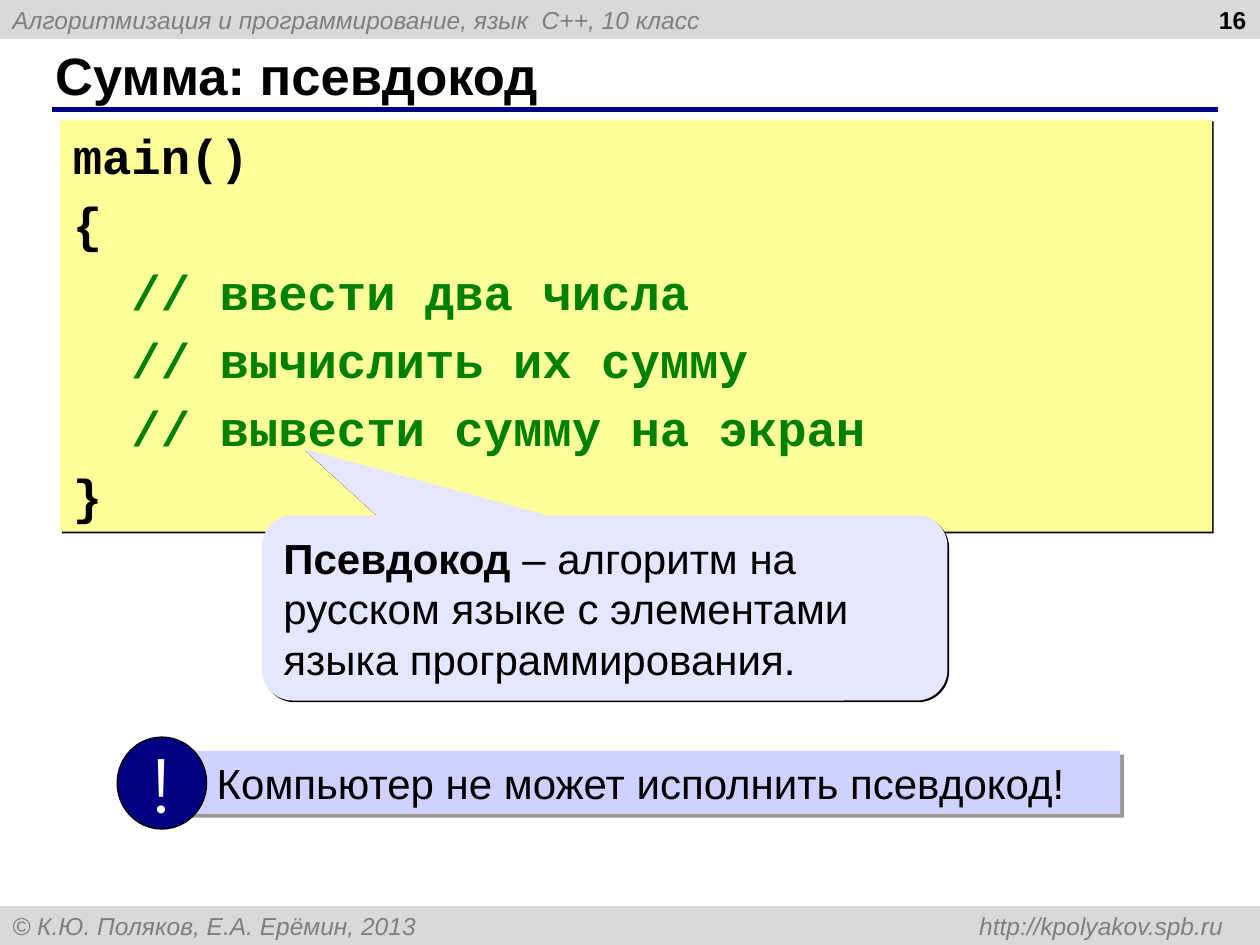
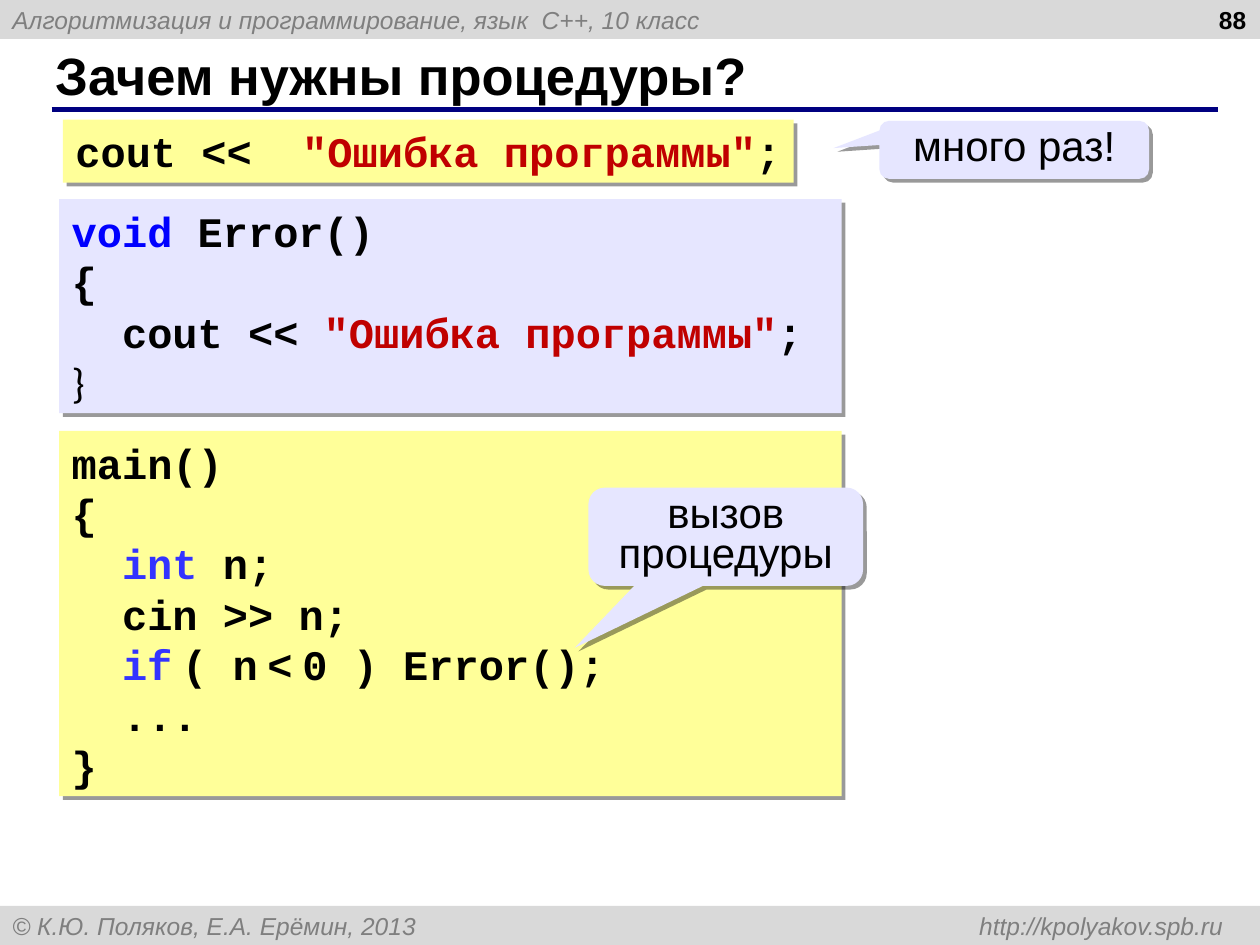
from lxml import etree
from pptx import Presentation
from pptx.dml.color import RGBColor
from pptx.enum.shapes import MSO_CONNECTOR, MSO_SHAPE
from pptx.enum.text import MSO_ANCHOR, PP_ALIGN
from pptx.oxml.ns import qn
from pptx.util import Inches, Pt

RECT, OVAL = MSO_SHAPE.RECTANGLE, MSO_SHAPE.OVAL
BUBBLE = MSO_SHAPE.ROUNDED_RECTANGULAR_CALLOUT
STRAIGHT = MSO_CONNECTOR.STRAIGHT
TOP, MID = MSO_ANCHOR.TOP, MSO_ANCHOR.MIDDLE
LEFT, CENTER, RIGHT = PP_ALIGN.LEFT, PP_ALIGN.CENTER, PP_ALIGN.RIGHT


class Theme:
    black, white, navy = "000000", "FFFFFF", "000080"
    band, grey = "D9D9D9", "7F7F7F"
    yellow, lilac, violet = "FFFF99", "E6E6FF", "D1D1FF"
    green, red, blue, indigo = "008000", "C00000", "0000FF", "3333FF"
    hard = {"alpha": 100, "dist": 1.4}
    soft = {"alpha": 40, "dist": 3}
    title = {"name": "Arial", "size": Pt(30), "bold": True, "color": black}
    small = {"name": "Arial", "size": Pt(14), "italic": True, "color": grey}
    page = {"name": "Arial", "size": Pt(14), "bold": True, "color": black}
    body = {"name": "Arial", "size": Pt(24), "color": black}
    code = {"name": "Courier New", "size": Pt(24), "bold": True, "color": black}
    large = {**code, "size": Pt(28)}
    thin = {"name": "Arial", "size": Pt(20)}
    mark = {"name": "Montserrat", "size": Pt(44), "color": white}


def style(font, form):
    for key, value in form.items():
        if key == "color":
            font.color.rgb = RGBColor.from_string(value)
        else:
            setattr(font, key, value)


def tint(text, color):
    return text, {"color": color}


def write(shape, lines, form, frame=None, para=None, gap=None):
    """Fill a shape; a line is a string or a list of strings and (text, format) pairs."""
    body = shape.text_frame
    for key, value in {"word_wrap": True, "vertical_anchor": MID, **(frame or {})}.items():
        setattr(body, key, value)
    for i, line in enumerate(lines):
        item = body.add_paragraph() if i else body.paragraphs[0]
        for key, value in {"alignment": LEFT, **(para or {})}.items():
            setattr(item, key, value)
        if i and gap:
            item.space_before = gap
        for part in [line] if isinstance(line, str) else line:
            text, extra = (part, {}) if isinstance(part, str) else part
            run = item.add_run()
            run.text = text
            style(run.font, {**form, **extra})


def cast(shape, alpha, dist):
    """Give a shape a black shadow to its lower right."""
    effects = shape._element.spPr.find(qn("a:effectLst"))
    shade = etree.SubElement(effects, qn("a:outerShdw"), dist=str(Pt(dist)),
                             dir="2700000", algn="ctr", rotWithShape="0")
    color = etree.SubElement(shade, qn("a:srgbClr"), val=Theme.black)
    etree.SubElement(color, qn("a:alpha"), val=str(alpha * 1000))


def draw(slide, kind, box, fill, line=None, shadow=None):
    shape = slide.shapes.add_shape(kind, *map(Inches, box))
    shape.shadow.inherit = False
    shape.fill.solid()
    shape.fill.fore_color.rgb = RGBColor.from_string(fill)
    if line:
        shape.line.color.rgb = RGBColor.from_string(line)
        shape.line.width = Pt(0.75)
    else:
        shape.line.fill.background()
    if shadow:
        cast(shape, **shadow)
    return shape


def label(slide, box, text, form, **para):
    shape = slide.shapes.add_textbox(*map(Inches, box))
    write(shape, [text], form, para=para)


def band(slide, box, text):
    """Draw a grey strip; text after a tab ends near its right edge."""
    shape = draw(slide, RECT, box, Theme.band)
    write(shape, [text], Theme.small)
    props = shape.text_frame.paragraphs[0]._p.get_or_add_pPr()
    tabs = etree.SubElement(props, qn("a:tabLst"))
    etree.SubElement(tabs, qn("a:tab"), pos=str(Inches(box[2] - 0.39)), algn="r")


def rule(slide, left, right, y):
    line = slide.shapes.add_connector(STRAIGHT, *map(Inches, (left, y, right, y)))
    line.line.color.rgb = RGBColor.from_string(Theme.navy)
    line.line.width = Pt(3)
    etree.SubElement(line._element.spPr, qn("a:effectLst"))


def panel(slide, box, lines, fill=Theme.yellow, form=Theme.code,
          shadow=Theme.soft, frame=None, gap=None):
    shape = draw(slide, RECT, box, fill, shadow=shadow)
    write(shape, lines, form, frame, gap=gap)


def bubble(slide, box, line, tip, shadow=Theme.soft, **para):
    """Draw a callout; tip is its point as shares of the box, from the centre."""
    shape = draw(slide, BUBBLE, box, Theme.lilac, shadow=shadow)
    for i, share in enumerate(tip):
        shape.adjustments[i] = share
    write(shape, [line], Theme.body, para=para)


def note(slide, box, text):
    """Draw a strip with a round exclamation badge over its left end."""
    left, top, wide, high = box
    bar = draw(slide, RECT, (left + 0.51, top + 0.11, wide - 0.51, 0.5),
               Theme.violet, shadow=Theme.soft)
    write(bar, [text], Theme.body, {"margin_left": Inches(0.28)})
    badge = draw(slide, OVAL, (left, top, 0.71, high), Theme.navy, Theme.black)
    write(badge, ["!"], Theme.mark, {"word_wrap": False}, {"alignment": CENTER})


def start(deck, title, page):
    """Add a slide with the shared bands, title, rule and page number."""
    slide = deck.slides.add_slide(deck.slide_layouts[6])
    band(slide, (0, 0, 10, 0.31), "Алгоритмизация и программирование, язык  C++, 10 класс")
    band(slide, (0, 7.19, 10, 0.31), "© К.Ю. Поляков, Е.А. Ерёмин, 2013\thttp://kpolyakov.spb.ru")
    rule(slide, 0.41, 9.67, 0.87)
    label(slide, (0.34, 0.33, 9.16, 0.52), title, Theme.title)
    label(slide, (7.66, 0, 2.33, 0.31), str(page), Theme.page, alignment=RIGHT)
    return slide


def pseudo(deck):
    slide = start(deck, "Сумма: псевдокод", 16)
    steps = ["ввести два числа", "вычислить их сумму", "вывести сумму на экран"]
    lines = ["main()", "{", *([tint(f"  // {step}", Theme.green)] for step in steps), "}"]
    panel(slide, (0.48, 0.95, 9.14, 3.27), lines, form=Theme.large, shadow=Theme.hard,
          frame={"vertical_anchor": TOP}, gap=Pt(5.2))
    bubble(slide, (2.08, 4.09, 5.44, 1.47),
           [("Псевдокод", {"bold": True}),
            " – алгоритм на русском языке с элементами языка программирования."],
           (-0.44, -0.86), Theme.hard)
    note(slide, (0.93, 5.85, 7.96, 0.73), "Компьютер не может исполнить псевдокод!")


def calls(deck):
    slide = start(deck, "Зачем нужны процедуры?", 88)
    error = [tint('"Ошибка программы"', Theme.red), ";"]
    thin = (" ", Theme.thin)
    center = {"alignment": CENTER, "line_spacing": 0.8}
    panel(slide, (0.5, 0.95, 5.8, 0.5), [["cout <<  ", *error]], frame={"word_wrap": False})
    bubble(slide, (6.98, 0.96, 2.14, 0.46), "много раз!", (-0.67, -0.03), **center)
    panel(slide, (0.47, 3.42, 6.21, 2.9), [
        "main()", "{",
        ["  ", tint("int", Theme.indigo), " n;"],
        "  cin >> n;",
        ["  ", tint("if", Theme.indigo), thin, "( n", thin, "<", thin, "0 ) Error();"],
        "  ...", "}"])
    bubble(slide, (4.67, 3.87, 2.18, 0.78), "вызов процедуры", (-0.55, 1.13), **center)
    panel(slide, (0.47, 1.58, 6.21, 1.7), [
        [tint("void", Theme.blue), " Error()"], "{",
        ["  cout << ", *error],
        [("}", {"name": "Calibri", "bold": False})]], Theme.lilac)


def main():
    deck = Presentation()
    deck.slide_width, deck.slide_height = Inches(10), Inches(7.5)
    pseudo(deck)
    calls(deck)
    deck.save("out.pptx")


if __name__ == "__main__":
    main()
